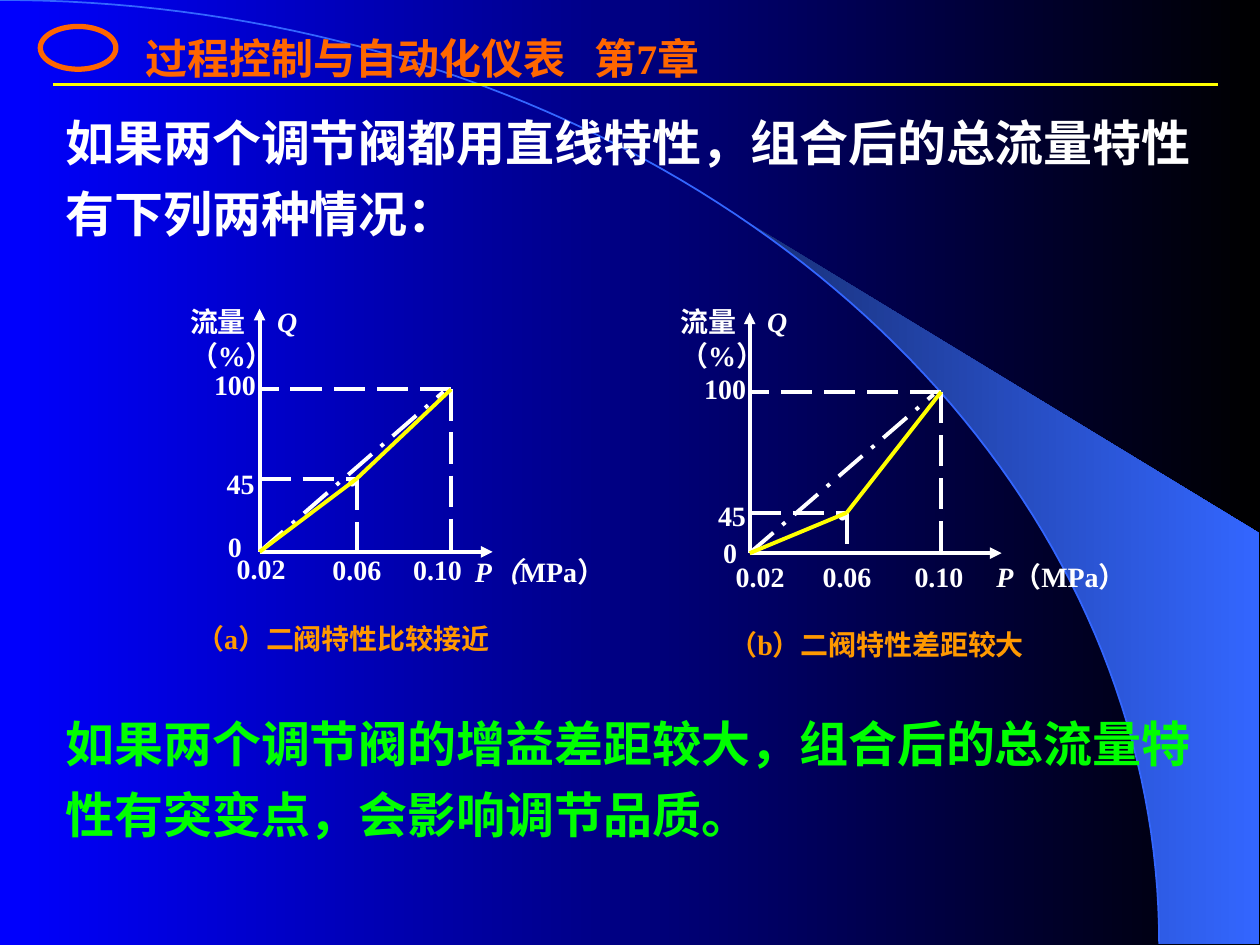
import math
from dataclasses import dataclass
from typing import NamedTuple, Optional

import lxml.etree
import pptx
import pptx.dml.color
import pptx.enum.dml
import pptx.enum.shapes
import pptx.oxml.ns
import pptx.util

RGB = pptx.dml.color.RGBColor
Dash = pptx.enum.dml.MSO_LINE
BLUE = RGB(0x00, 0x00, 0xFF)
BLACK = RGB(0x00, 0x00, 0x00)
NAVY = RGB(0x18, 0x2F, 0x76)
SKY = RGB(0x33, 0x66, 0xFF)
YELLOW = RGB(0xFF, 0xFF, 0x00)
ORANGE = RGB(0xFF, 0x66, 0x00)
AMBER = RGB(0xFF, 0x99, 0x00)
GREEN = RGB(0x00, 0xFF, 0x00)
WHITE = RGB(0xFF, 0xFF, 0xFF)

PX = 9144
FONT = "Times New Roman"
ARC_WIDTH, ARC_HEIGHT = 920, 749


class Point(NamedTuple):
    x: int
    y: int


class Run(NamedTuple):
    text: str
    italic: bool = False


class Label(NamedTuple):
    x: int
    y: int
    w: int
    h: int
    lines: tuple
    color: RGB = WHITE
    tab: Optional[int] = None


@dataclass
class Plot:
    origin: Point
    knee: Point
    full: Point
    axis_top: int
    axis_right: int
    labels: list


def plain(text: str) -> tuple:
    return ((Run(text),),)


def flow_label(x: int, y: int) -> Label:
    lines = ((Run("流量\t"), Run("Q", True)), (Run("（%）"),))
    return Label(x, y, 172, 44, lines, tab=69)


def value_label(x: int, y: int, text: str) -> Label:
    return Label(x, y, 62, 30, plain(text))


PLOTS = [
    Plot(Point(206, 438), Point(283, 380), Point(358, 309), 245, 391, [
        flow_label(141, 237),
        value_label(160, 287, "100"),
        value_label(170, 365, "45"),
        value_label(171, 415, "0"),
        value_label(178, 433, "0.02"),
        value_label(254, 434, "0.06"),
        value_label(318, 434, "0.10"),
        Label(367, 435, 143, 39, ((Run("P（", True), Run("MPa）")),)),
        Label(146, 488, 276, 48, plain("（a）二阀特性比较接近"), AMBER),
    ]),
    Plot(Point(595, 439), Point(672, 407), Point(747, 311), 248, 795, [
        flow_label(530, 237),
        value_label(549, 290, "100"),
        value_label(560, 391, "45"),
        value_label(564, 420, "0"),
        value_label(574, 439, "0.02"),
        value_label(643, 439, "0.06"),
        value_label(716, 439, "0.10"),
        Label(781, 439, 157, 37, ((Run("P", True), Run("（MPa）")),)),
        Label(569, 493, 301, 48, plain("（b）二阀特性差距较大"), AMBER),
    ]),
]


def add_text(s, x: int, y: int, w: int, h: int, lines: tuple, *, size: int = 16,
             color: RGB = WHITE, tab: Optional[int] = None,
             spacing: Optional[float] = None) -> None:
    tf = s.shapes.add_textbox(x * PX, y * PX, w * PX, h * PX).text_frame
    tf.word_wrap = True
    for i, line in enumerate(lines):
        p = tf.paragraphs[0] if i == 0 else tf.add_paragraph()
        if tab is not None:
            tabs = lxml.etree.SubElement(p._p.get_or_add_pPr(), pptx.oxml.ns.qn("a:tabLst"))
            lxml.etree.SubElement(tabs, pptx.oxml.ns.qn("a:tab"), pos=str(tab * PX), algn="l")
        if spacing is not None:
            p.line_spacing = spacing
        for run in line:
            r = p.add_run()
            r.text = run.text
            r.font.name = FONT
            r.font.size = pptx.util.Pt(size)
            r.font.bold = True
            r.font.italic = run.italic
            r.font.color.rgb = color


def add_line(s, start: Point, end: Point, *, color: RGB = WHITE, width: float = 2.25,
             dash: Optional[Dash] = None, arrow: bool = False) -> None:
    line = s.shapes.add_connector(pptx.enum.shapes.MSO_CONNECTOR.STRAIGHT,
                                  start.x * PX, start.y * PX, end.x * PX, end.y * PX)
    line.line.color.rgb = color
    line.line.width = pptx.util.Pt(width)
    if dash is not None:
        line.line.dash_style = dash
    if arrow:
        lxml.etree.SubElement(line.line._get_or_add_ln(), pptx.oxml.ns.qn("a:tailEnd"), type="triangle")
    lxml.etree.SubElement(line._element.spPr, pptx.oxml.ns.qn("a:effectLst"))


def set_gradient(fill, first: RGB, last: RGB) -> None:
    fill.gradient()
    fill.gradient_angle = 0
    for stop, color in zip(fill.gradient_stops, (first, last)):
        stop.color.rgb = color


def arc_points(start: float, steps: int) -> list:
    angles = [start + (math.pi / 2 - start) * i / steps for i in range(steps + 1)]
    return [(round(ARC_WIDTH * PX * math.sin(a)), round(ARC_HEIGHT * PX * (1 - math.cos(a))))
            for a in angles]


def add_outline(s, points: list, closed: bool):
    builder = s.shapes.build_freeform(*points[0], scale=1.0)
    builder.add_line_segments(points[1:], close=closed)
    sp = builder.convert_to_shape()
    sp.shadow.inherit = False
    return sp


def add_backdrop(s) -> None:
    set_gradient(s.background.fill, BLUE, BLACK)
    edge = [(999 * PX, 749 * PX), (999 * PX, 423 * PX)]
    wedge = add_outline(s, arc_points(math.asin(0.64), 40) + edge, True)
    set_gradient(wedge.fill, NAVY, SKY)
    wedge.line.fill.background()
    arc = add_outline(s, arc_points(0, 80), False)
    arc.fill.background()
    arc.line.color.rgb = SKY
    arc.line.width = pptx.util.Pt(1)


def add_header(s) -> None:
    ring = s.shapes.add_shape(pptx.enum.shapes.MSO_SHAPE.OVAL, 32 * PX, 21 * PX, 60 * PX, 34 * PX)
    ring.shadow.inherit = False
    ring.fill.background()
    ring.line.color.rgb = ORANGE
    ring.line.width = pptx.util.Pt(3)
    add_line(s, Point(42, 67), Point(967, 67), color=YELLOW, width=1.5)
    add_text(s, 106, 21, 842, 50, plain("过程控制与自动化仪表\t第7章"), size=24, color=ORANGE, tab=356)


def add_plot(s, plot: Plot) -> None:
    o, knee, full = plot.origin, plot.knee, plot.full
    add_line(s, o, Point(o.x, plot.axis_top), arrow=True)
    add_line(s, o, Point(plot.axis_right, o.y), arrow=True)
    add_line(s, full, Point(o.x, full.y), dash=Dash.LONG_DASH)
    add_line(s, full, Point(full.x, o.y), dash=Dash.LONG_DASH)
    add_line(s, Point(o.x, knee.y), knee, dash=Dash.LONG_DASH)
    add_line(s, knee, Point(knee.x, o.y), dash=Dash.LONG_DASH)
    add_line(s, o, Point(full.x - 6, full.y + 2), dash=Dash.LONG_DASH_DOT)
    add_text(s, knee.x - 17, knee.y - 16, 26, 29, plain("•"))
    add_line(s, knee, o, color=YELLOW)
    add_line(s, full, knee, color=YELLOW)
    for label in plot.labels:
        add_text(s, label.x, label.y, label.w, label.h, label.lines, color=label.color, tab=label.tab)


def main() -> None:
    prs = pptx.Presentation()
    prs.slide_width, prs.slide_height = 1000 * PX, 750 * PX
    s = prs.slides.add_slide(prs.slide_layouts[6])
    add_backdrop(s)
    add_header(s)
    add_text(s, 42, 75, 925, 122, plain("如果两个调节阀都用直线特性，组合后的总流量特性有下列两种情况："),
             size=28, spacing=1.2)
    for plot in PLOTS:
        add_plot(s, plot)
    add_text(s, 42, 552, 925, 122, plain("如果两个调节阀的增益差距较大，组合后的总流量特性有突变点，会影响调节品质。"),
             size=28, color=GREEN, spacing=1.2)
    prs.save("out.pptx")


if __name__ == "__main__":
    main()
